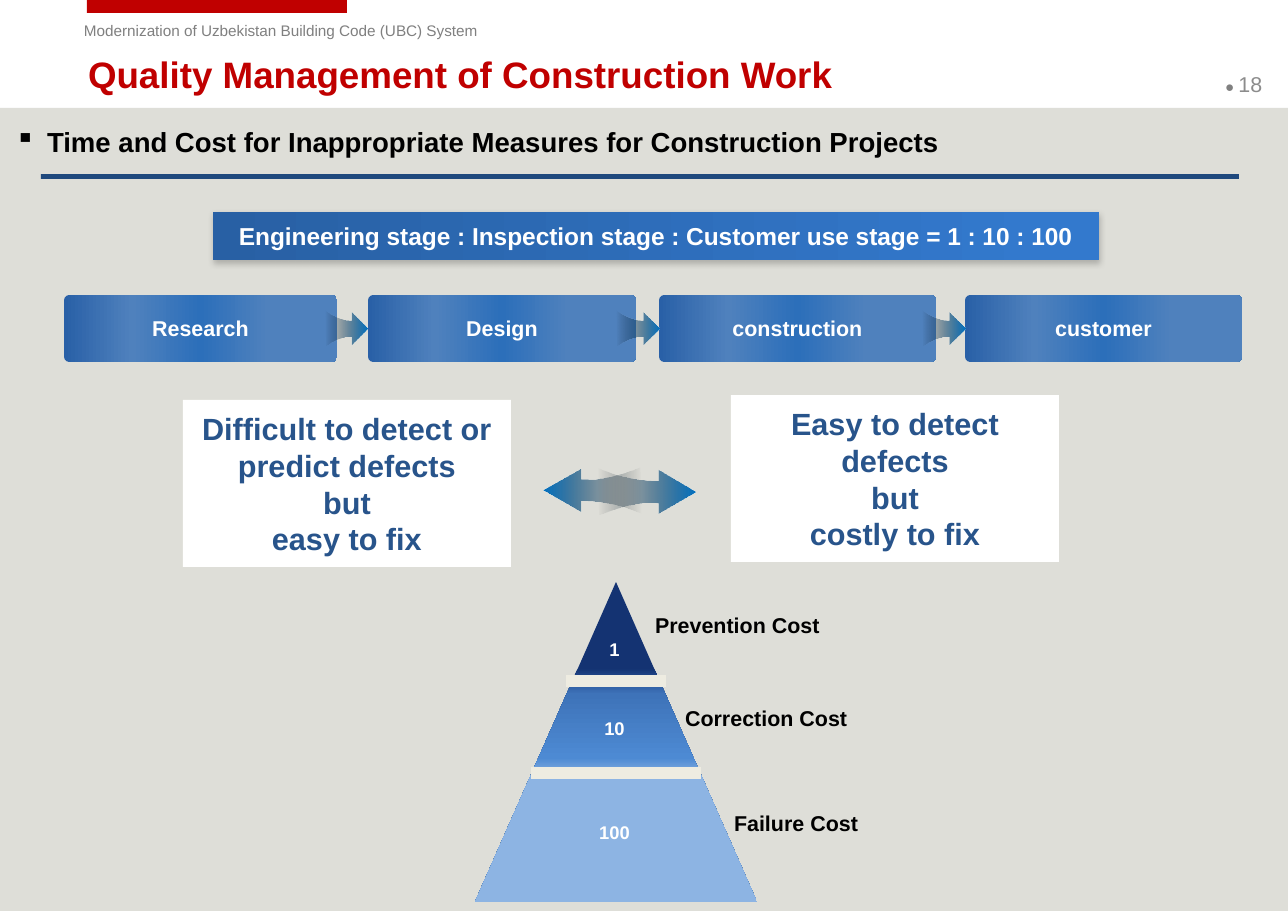
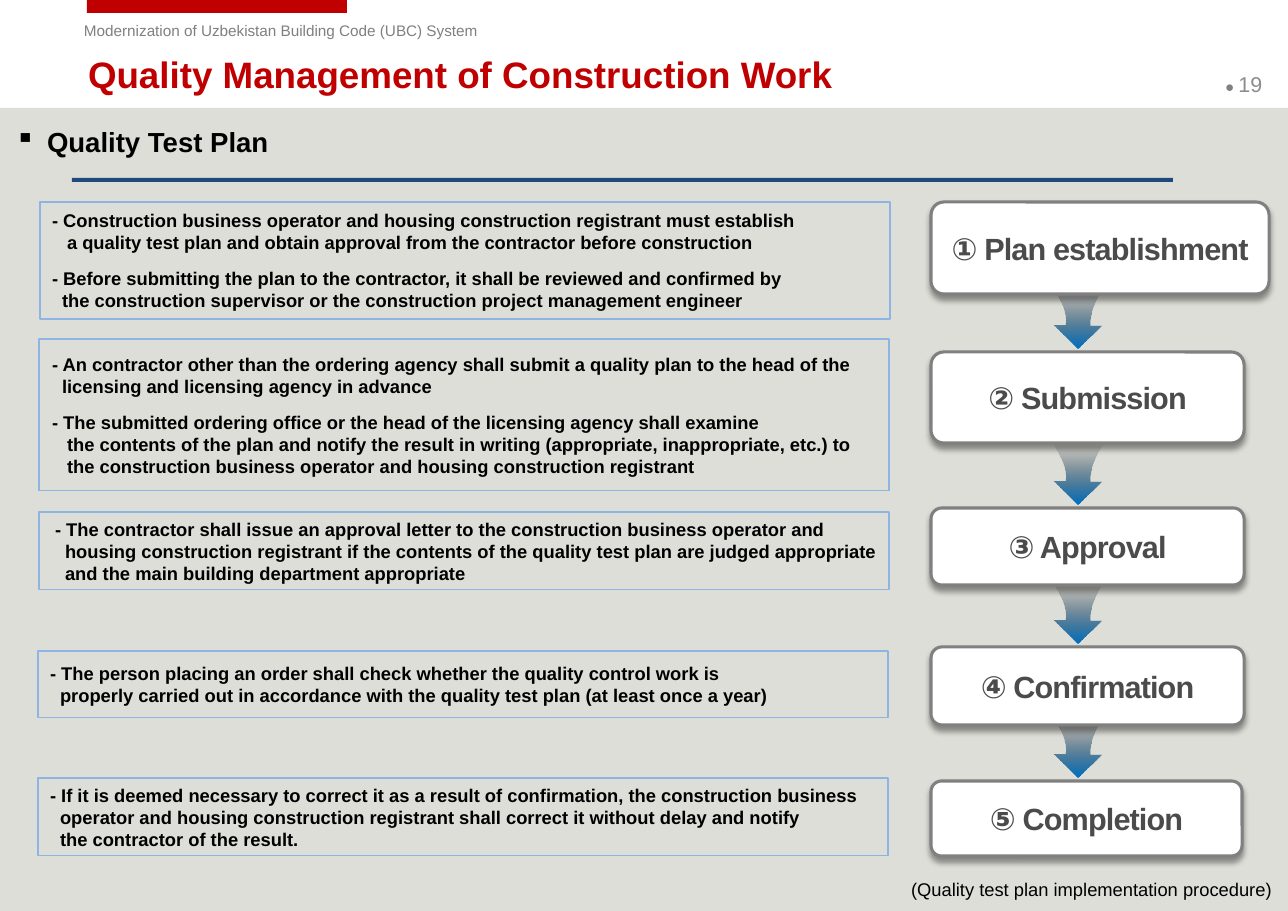
import dataclasses

import pptx
import pptx.util
import pptx.dml.color
import pptx.enum.shapes
import pptx.enum.text
import pptx.oxml
import pptx.oxml.ns

SHAPE = pptx.enum.shapes.MSO_SHAPE
LEFT, MID = pptx.enum.text.PP_ALIGN.LEFT, pptx.enum.text.PP_ALIGN.CENTER
TOP = pptx.enum.text.MSO_ANCHOR.TOP
HALF = pptx.enum.text.MSO_ANCHOR.MIDDLE
NS = pptx.oxml.ns.nsdecls("a")
SCALE = 8298


@dataclasses.dataclass(frozen=True)
class Theme:
    font: str = "Arial"
    red: str = "C00000"
    page: str = "DEDED8"
    gray: str = "808080"
    pale: str = "8C8C8C"
    ink: str = "000000"
    white: str = "FFFFFF"
    rule: str = "1F497D"
    navy: str = "28548B"
    frame: str = "8EB4E3"
    cream: str = "EEECE1"
    step: str = "4B4B4B"
    chip: tuple = ((0, "2960A7", 100), (25, "4F81BD", 100), (50, "2C6FBA", 100),
                   (75, "4F81BD", 100), (100, "4F81BD", 100))
    strip: tuple = ((0, "2860A4", 100), (94, "3379CD", 100))
    arrow: tuple = ((0, "0070C0", 100), (100, "000000", 0))
    cone: tuple = ((27, "143372", 100), (35, "3E73B9", 100),
                   (55, "4D8AD3", 100), (61, "8DB4E3", 100))
    tiny: int = 10
    small: int = 12
    note: int = 14
    lead: int = 16
    head: int = 18
    big: int = 20
    title: int = 24


T = Theme()


def px(n):
    return pptx.util.Emu(round(n * SCALE))


def rgb(hue):
    return pptx.dml.color.RGBColor.from_string(hue)


def blend(shape, stops, angle):
    marks = "".join(
        f'<a:gs pos="{at * 1000}"><a:srgbClr val="{hue}">'
        f'<a:alpha val="{alpha * 1000}"/></a:srgbClr></a:gs>'
        for at, hue, alpha in stops)
    shape.fill.background()
    blank = shape._element.spPr.find(pptx.oxml.ns.qn("a:noFill"))
    blank.getparent().replace(blank, pptx.oxml.parse_xml(
        f'<a:gradFill {NS} rotWithShape="1"><a:gsLst>{marks}</a:gsLst>'
        f'<a:lin ang="{angle * 60000}" scaled="0"/></a:gradFill>'))


def shade(shape, alpha, blur, gap, angle):
    glow = shape._element.spPr.find(pptx.oxml.ns.qn("a:effectLst"))
    glow.append(pptx.oxml.parse_xml(
        f'<a:outerShdw {NS} blurRad="{blur * 12700}" dist="{gap * 12700}" '
        f'dir="{angle * 60000}" algn="ctr" rotWithShape="0"><a:srgbClr val="{T.ink}">'
        f'<a:alpha val="{alpha * 1000}"/></a:srgbClr></a:outerShdw>'))


def block(slide, box, hue=None, kind=SHAPE.RECTANGLE, line=None, width=1):
    shape = slide.shapes.add_shape(kind, *map(px, box))
    shape.shadow.inherit = False
    if hue:
        shape.fill.solid()
        shape.fill.fore_color.rgb = rgb(hue)
    else:
        shape.fill.background()
    if line:
        shape.line.color.rgb = rgb(line)
        shape.line.width = pptx.util.Pt(width)
    else:
        shape.line.fill.background()
    return shape


def add_run(para, words, size, hue, bold=False):
    run = para.add_run()
    run.text = words
    run.font.name = T.font
    run.font.size = pptx.util.Pt(size)
    run.font.bold = bold
    run.font.color.rgb = rgb(hue)
    return run


def setup(shape, anchor=HALF, inset=(11, 6, 11, 6)):
    frame = shape.text_frame
    frame.word_wrap = True
    frame.vertical_anchor = anchor
    (frame.margin_left, frame.margin_top,
     frame.margin_right, frame.margin_bottom) = map(px, inset)
    return frame


def indent(para, hang):
    props = para._p.get_or_add_pPr()
    props.set("marL", str(px(hang)))
    props.set("indent", str(-px(hang)))
    return props


def write(shape, lines, size, hue, bold=True, align=MID, anchor=HALF, inset=(11, 6, 11, 6)):
    frame = setup(shape, anchor, inset)
    for n, words in enumerate(lines):
        para = frame.add_paragraph() if n else frame.paragraphs[0]
        para.alignment = align
        add_run(para, words, size, hue, bold)
    return frame


def label(slide, box, words, size, hue, **style):
    return write(slide.shapes.add_textbox(*map(px, box)), [words], size, hue, **style)


def arrow(slide, mid, size, turn=0):
    wide, tall = size
    left, top = mid[0] - wide / 2, mid[1] - tall / 2

    def curve(a, b, c, d, steps=8):
        for k in range(1, steps + 1):
            t = k / steps
            yield tuple((1 - t) ** 3 * p + 3 * t * (1 - t) ** 2 * q
                        + 3 * t * t * (1 - t) * r + t ** 3 * s
                        for p, q, r, s in zip(a, b, c, d))

    edge = [(0.03, 0.62), (0.25, 0.62),
            *curve((0.25, 0.62), (0.3, 0.41), (0.15, 0.21), (0, 0.02)),
            (1, 0), *curve((1, 0), (0.79, 0.23), (0.72, 0.43), (0.72, 0.62)),
            (0.95, 0.62), (0.49, 1)]
    spots = [(px(left + x * wide), px(top + y * tall)) for x, y in edge]
    pen = slide.shapes.build_freeform(*spots[0])
    pen.add_line_segments(spots[1:], close=True)
    shape = pen.convert_to_shape()
    shape.shadow.inherit = False
    shape.line.fill.background()
    blend(shape, T.arrow, 270)
    shape.rotation = turn


def base(deck, number, topic, rule):
    slide = deck.slides.add_slide(deck.slide_layouts[6])
    block(slide, (0, 108, 1288, 803), T.page)
    block(slide, (87, 0, 260, 13), T.red)
    label(slide, (73, 15, 516, 30), "Modernization of Uzbekistan Building Code (UBC) System",
          T.tiny, T.gray, bold=False, align=LEFT, anchor=TOP)
    mark = label(slide, (1213, 60, 75, 48), "● ", T.tiny, T.gray,
                 bold=False, align=LEFT, inset=(12, 7, 12, 7))
    add_run(mark.paragraphs[0], str(number), T.note, T.pale)
    label(slide, (76, 52, 1148, 44), "Quality Management of Construction Work",
          T.title, T.red, align=LEFT, inset=(12, 7, 12, 7))
    frame = setup(slide.shapes.add_textbox(*map(px, (3, 118, 1254, 46))), TOP, (12, 7, 12, 7))
    para = frame.paragraphs[0]
    indent(para, 32).append(pptx.oxml.parse_xml(f'<a:buChar {NS} char="▪"/>'))
    add_run(para, topic, T.head, T.ink, True)
    block(slide, rule, T.rule)
    return slide


def banner(slide, box, words):
    shape = block(slide, box)
    blend(shape, T.strip, 0)
    shade(shape, 22, 4, 2, 81)
    write(shape, [words], T.lead, T.white)


def stages(slide, box, chips):
    x, y, _, h = box
    for left, wide, words in chips:
        chip = block(slide, (x + left, y, wide, h), kind=SHAPE.ROUNDED_RECTANGLE)
        chip.adjustments[0] = 0.08
        blend(chip, T.chip, 0)
        write(chip, [words], T.note, T.white)
    for left, _, _ in chips[1:]:
        arrow(slide, (x + left - 21, y + h / 2), (35, 42), 270)


def contrast(slide, box, early, late):
    x, y, w, h = box
    wide, tall = 328, 167
    for left, top, lines in ((x, y + h - tall, early), (x + w - wide, y, late)):
        write(block(slide, (left, top, wide, tall), T.white), lines, T.big, T.navy)
    for left, turn in ((409, 90), (463, 270)):
        arrow(slide, (x + left, y + 96), (46, 98), turn)


def cone(slide, box, tiers):
    x, y, w, h = box
    blend(block(slide, box, kind=SHAPE.ISOSCELES_TRIANGLE), T.cone, 90)
    for top, half in ((99, 50), (191, 85)):
        cut = slide.shapes.add_connector(
            pptx.enum.shapes.MSO_CONNECTOR.STRAIGHT,
            px(x + w / 2 - half), px(y + top), px(x + w / 2 + half), px(y + top))
        cut.line.color.rgb = rgb(T.cream)
        cut.line.width = pptx.util.Pt(8)
        cut._element.spPr.append(pptx.oxml.parse_xml(f"<a:effectLst {NS}/>"))
    for value, row, words, left, top in tiers:
        label(slide, (x + 112, y + row - 10, 55, 20), value, T.small, T.white,
              inset=(0, 0, 0, 0))
        label(slide, (x + left, y + top, 195, 41), words, T.note, T.ink, align=LEFT)


def duties(slide, box, panels):
    x, y, w, _ = box
    for left, top, tall, pad, items in panels:
        shape = block(slide, (x + left, y + top, w, tall), line=T.frame, width=0.75)
        frame = setup(shape, inset=(pad, 0, 0, 0))
        for n, (hang, lines) in enumerate(items):
            para = frame.add_paragraph() if n else frame.paragraphs[0]
            para.alignment = LEFT
            indent(para, hang)
            if n:
                para.space_before = pptx.util.Pt(9)
            for k, words in enumerate(lines):
                if k:
                    para.add_line_break()
                add_run(para, words, T.small, T.ink, True)


def steps(slide, box, parts):
    x, y, _, _ = box
    for top, _, _, _ in parts[1:]:
        arrow(slide, (x + 147, y + top - 34), (52, 62))
    for top, wide, tall, words in parts:
        card = block(slide, (x, y + top, wide, tall), T.white,
                     SHAPE.ROUNDED_RECTANGLE, T.gray, 2)
        card.adjustments[0] = 0.14
        shade(card, 40, 4, 3, 90)
        frame = write(card, [words], T.big, T.step)
        frame.paragraphs[0].runs[0].font._element.set("spc", "-60")


def costs(deck):
    slide = base(deck, 18, "Time and Cost for Inappropriate Measures for Construction Projects",
                 (41, 174, 1198, 5))
    banner(slide, (213, 212, 886, 48),
           "Engineering stage : Inspection stage : Customer use stage = 1 : 10 : 100")
    stages(slide, (64, 295, 1178, 67), (
        (0, 273, "Research"), (304, 268, "Design"),
        (595, 277, "construction"), (901, 277, "customer")))
    contrast(slide, (183, 395, 876, 172),
             ("Difficult to detect or predict defects", "but", "easy to fix"),
             ("Easy to detect defects", "but", "costly to fix"))
    cone(slide, (475, 582, 282, 320), (
        ("1", 67, "Prevention Cost", 169, 22),
        ("10", 146, "Correction Cost", 199, 115),
        ("100", 250, "Failure Cost", 248, 220)))


def plan(deck):
    slide = base(deck, 19, "Quality Test Plan", (72, 178, 1101, 4))
    duties(slide, (38, 202, 850, 654), (
        (2, 0, 117, 12, (
            (15, ("- Construction business operator and housing construction registrant must establish",
                  "a quality test plan and obtain approval from the contractor before construction")),
            (10, ("- Before submitting the plan to the contractor, it shall be reviewed and confirmed by",
                  "the construction supervisor or the construction project management engineer")))),
        (1, 137, 152, 13, (
            (10, ("- An contractor other than the ordering agency shall submit a quality plan to the head of the",
                  "licensing and licensing agency in advance")),
            (15, ("- The submitted ordering office or the head of the licensing agency shall examine",
                  "the contents of the plan and notify the result in writing (appropriate, inappropriate, etc.) to",
                  "the construction business operator and housing construction registrant")))),
        (1, 310, 78, 16, (
            (10, ("- The contractor shall issue an approval letter to the construction business operator and",
                  "housing construction registrant if the contents of the quality test plan are judged appropriate",
                  "and the main building department appropriate")),)),
        (0, 449, 67, 12, (
            (10, ("- The person placing an order shall check whether the quality control work is",
                  "properly carried out in accordance with the quality test plan (at least once a year)")),)),
        (0, 576, 78, 12, (
            (10, ("- If it is deemed necessary to correct it as a result of confirmation, the construction business",
                  "operator and housing construction registrant shall correct it without delay and notify",
                  "the contractor of the result.")),))))
    steps(slide, (931, 202, 338, 654), (
        (0, 338, 92, "① Plan establishment"), (150, 313, 91, "② Submission"),
        (306, 313, 77, "③ Approval"), (445, 313, 78, "④ Confirmation"),
        (579, 311, 75, "⑤ Completion")))
    label(slide, (900, 872, 386, 33), "(Quality test plan implementation procedure)",
          T.small, T.ink, bold=False, align=LEFT, anchor=TOP)


def main():
    deck = pptx.Presentation()
    deck.slide_width, deck.slide_height = px(1288), px(911)
    costs(deck)
    plan(deck)
    deck.save("out.pptx")


if __name__ == "__main__":
    main()
